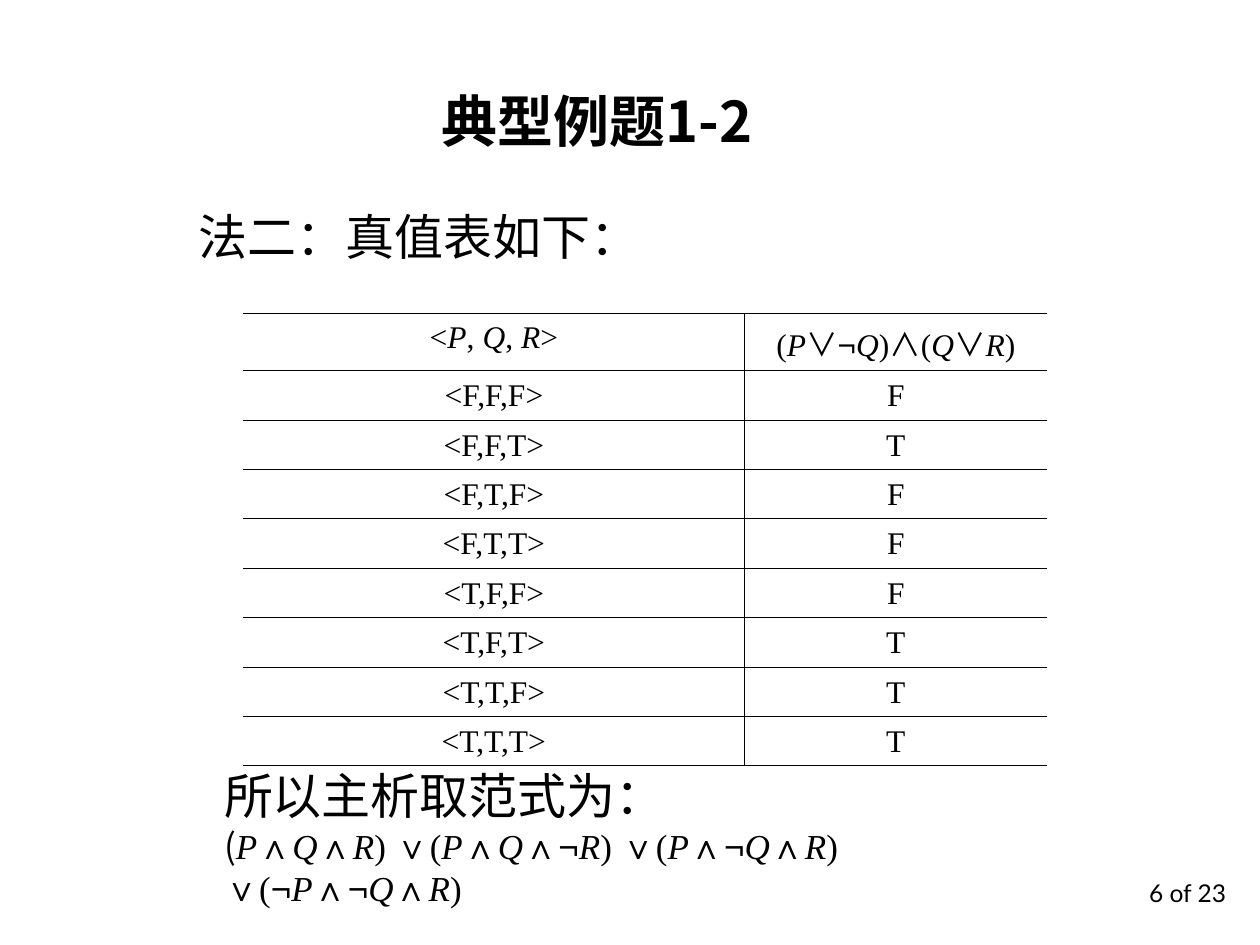
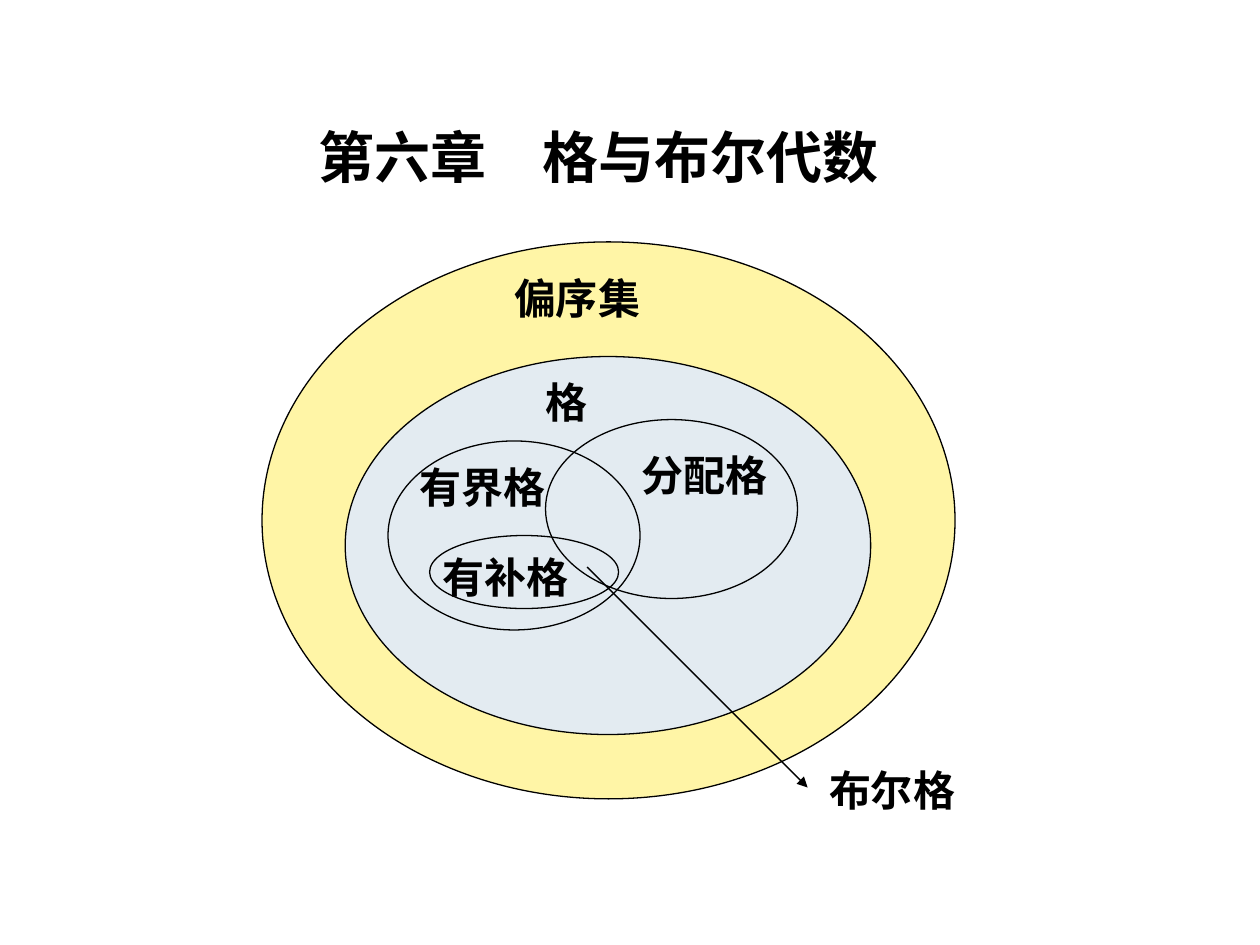
"""Build two logic and lattice slides."""
from itertools import groupby, product

from lxml.etree import SubElement
from pptx import Presentation
from pptx.dml.color import RGBColor
from pptx.enum.shapes import MSO_CONNECTOR, MSO_SHAPE
from pptx.enum.text import MSO_ANCHOR as Anchor, MSO_AUTO_SIZE as AutoSize, PP_ALIGN as Align
from pptx.oxml.ns import qn
from pptx.util import Inches, Pt

BLACK = RGBColor(0x00, 0x00, 0x00)
YELLOW = RGBColor(0xFF, 0xEF, 0x66)
PALE_BLUE = RGBColor(0xE3, 0xEB, 0xF1)
CJK, SERIF, SANS, FOOTER = "Noto Sans CJK SC", "Times New Roman", "Arial", "Lato"
TITLE_ONLY = 5


class SlideBuilder:
    """Hold the shared style and the current slide."""

    def __init__(self):
        self.deck = Presentation()
        self.deck.slide_width, self.deck.slide_height = Inches(10), Inches(7.5)
        self.slide = None

    def style(self, span, size, font, bold=False, italic=False):
        span.font.size, span.font.name = Pt(size), font
        span.font.bold, span.font.italic = bold, italic
        span.font.color.rgb = BLACK
        SubElement(span.font._element, qn("a:ea"), typeface=font)

    def fill_para(self, para, text, size, font, bold=False, align=Align.LEFT):
        para.text = text
        para.alignment = align
        for span in para.runs:
            self.style(span, size, font, bold)

    def formula(self, para, text, size, operator_font=SERIF):
        """Set a formula with italic variables and fonts chosen by symbol."""
        fonts = {"¬": SANS, "∧": operator_font, "∨": operator_font}

        def look(symbol):
            return fonts.get(symbol, SERIF), symbol in "PQR"

        for (font, italic), symbols in groupby(text, look):
            span = para.add_run()
            span.text = "".join(symbols)
            self.style(span, size, font, italic=italic)

    def page(self, title, left, top, width):
        self.slide = self.deck.slides.add_slide(self.deck.slide_layouts[TITLE_ONLY])
        box = self.slide.shapes.title
        box.left, box.top, box.width, box.height = map(Inches, (left, top, width, 0.64))
        frame = box.text_frame
        frame.vertical_anchor, frame.auto_size = Anchor.TOP, AutoSize.NONE
        self.fill_para(frame.paragraphs[0], title, 32, CJK, True, Align.CENTER)

    def text(self, content, place, size, font, bold=False, align=Align.LEFT,
             anchor=Anchor.TOP, wrap=False):
        frame = self.slide.shapes.add_textbox(*map(Inches, place)).text_frame
        frame.word_wrap, frame.vertical_anchor = wrap, anchor
        self.fill_para(frame.paragraphs[0], content, size, font, bold, align)
        return frame

    def ellipse(self, place, color=None, opacity=100):
        shape = self.slide.shapes.add_shape(MSO_SHAPE.OVAL, *map(Inches, place))
        shape.shadow.inherit = False
        shape.line.color.rgb, shape.line.width = BLACK, Pt(0.75)
        if color is None:
            shape.fill.background()
            return
        shape.fill.solid()
        shape.fill.fore_color.rgb = color
        if opacity < 100:
            tint = shape._element.spPr.find(qn("a:solidFill"))[0]
            SubElement(tint, qn("a:alpha"), val=str(opacity * 1000))

    def arrow(self, start, end):
        line = self.slide.shapes.add_connector(
            MSO_CONNECTOR.STRAIGHT, *map(Inches, start + end))
        line.line.color.rgb, line.line.width = BLACK, Pt(0.75)
        SubElement(line.line._get_or_add_ln(), qn("a:tailEnd"), type="triangle")
        SubElement(line._element.spPr, qn("a:effectLst"))

    def borders(self, cell, visible):
        properties = cell._tc.get_or_add_tcPr()
        for position, side in enumerate("LRTB"):
            edge = SubElement(properties, qn(f"a:ln{side}"), w=str(Pt(0.45)))
            properties.insert(position, edge)
            if side in visible:
                fill = SubElement(edge, qn("a:solidFill"))
                SubElement(fill, qn("a:srgbClr"), val=str(BLACK))
            else:
                SubElement(edge, qn("a:noFill"))

    def truth_table(self, headers, rows, place, widths, header_height, row_height):
        table = self.slide.shapes.add_table(
            len(rows) + 1, len(headers), *map(Inches, place)).table
        table.first_row = table.horz_banding = False
        for column, width in zip(table.columns, widths):
            column.width = Inches(width)
        for index, values in enumerate([headers, *rows]):
            table.rows[index].height = Inches(row_height if index else header_height)
            for column, value in enumerate(values):
                cell = table.cell(index, column)
                cell.margin_left = cell.margin_right = Inches(0.07)
                cell.fill.background()
                self.borders(cell, "LTB" if column else "RTB")
                para = cell.text_frame.paragraphs[0]
                if index:
                    self.fill_para(para, value, 18, SERIF, align=Align.CENTER)
                    para.line_spacing = Pt(21)
                else:
                    self.formula(para, value, 18, CJK)
                    para.alignment, para.space_before = Align.CENTER, Pt(6)


def add_truth_table_page(builder):
    """Add the truth table and its normal form."""
    builder.page("典型例题1-2", 0.98, 0.64, 7.52)
    builder.text("6 of 23", (7.75, 6.92, 2.08, 0.5), 14, FOOTER,
                 align=Align.RIGHT, wrap=True)
    rows = [(f"<{p},{q},{r}>",
             "T" if (p == "T" or q == "F") and "T" in (q, r) else "F")
            for p, q, r in product("FT", repeat=3)]
    builder.truth_table(("<P, Q, R>", "(P∨¬Q)∧(Q∨R)"), rows,
                        (1.93, 2.49, 6.38, 3.44), (3.98, 2.4), 0.45, 0.37)
    builder.text("法二：真值表如下：", (1.48, 1.59, 3.89, 0.57), 28, CJK,
                 anchor=Anchor.MIDDLE)
    answer = builder.text("所以主析取范式为：", (1.68, 6.19, 6.35, 0.9), 28, CJK,
                          anchor=Anchor.MIDDLE, wrap=True)
    para = answer.add_paragraph()
    builder.fill_para(para, "(", 20, CJK)
    builder.formula(para, "P∧Q∧R) ∨(P∧Q∧¬R) ∨(P∧¬Q∧R) ∨(¬P∧¬Q∧R)", 20)


def add_lattice_page(builder):
    """Add the nested sets of lattice kinds."""
    builder.page("第六章　格与布尔代数", 1.34, 0.92, 6.83)
    builder.ellipse((2.08, 1.92, 5.5, 4.42), YELLOW, 58)
    builder.ellipse((2.74, 2.83, 4.17, 3), PALE_BLUE)
    builder.ellipse((3.08, 3.5, 2, 1.5), PALE_BLUE)
    builder.ellipse((4.33, 3.33, 2, 1.42))
    builder.ellipse((3.41, 4.25, 1.5, 0.58))
    labels = (("偏序集", 3.98, 2.11), ("格", 4.23, 2.94), ("分配格", 4.99, 3.52),
              ("有界格", 3.23, 3.61), ("有补格", 3.41, 4.33), ("布尔格", 6.48, 6.02))
    for label, left, top in labels:
        width = 0.2 + len(label) / 3
        builder.text(label, (left, top, width, 0.5), 24, SANS, True, Align.CENTER)
    builder.arrow((4.66, 4.5), (6.41, 6.25))


def main():
    """Build and save the deck."""
    builder = SlideBuilder()
    add_truth_table_page(builder)
    add_lattice_page(builder)
    builder.deck.save("out.pptx")


if __name__ == "__main__":
    main()
